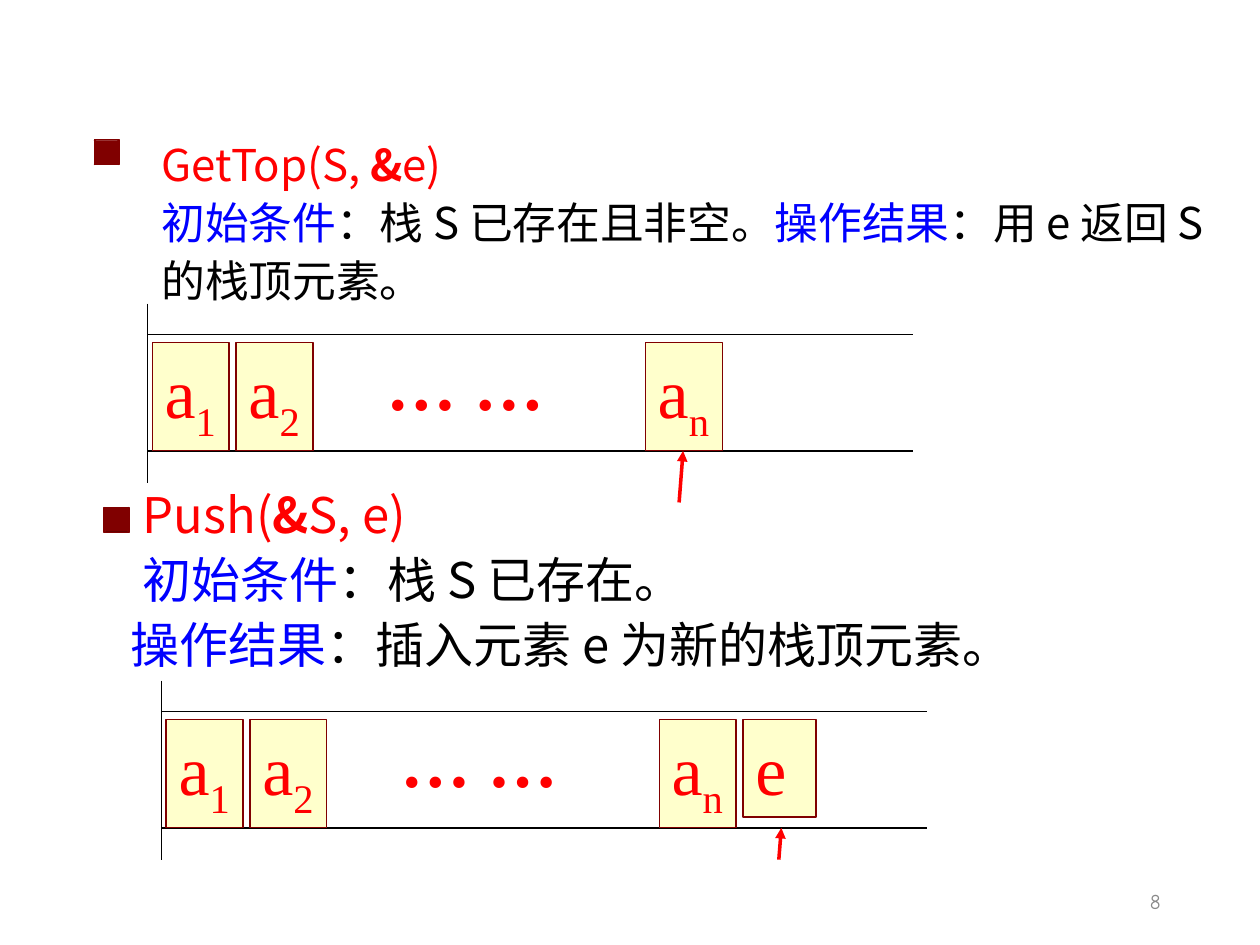
from lxml import etree
from pptx import Presentation
from pptx.dml.color import RGBColor
from pptx.enum.shapes import MSO_CONNECTOR, MSO_SHAPE
from pptx.enum.text import MSO_ANCHOR, MSO_AUTO_SIZE, PP_ALIGN
from pptx.oxml.ns import qn
from pptx.util import Cm, Pt

STRAIGHT = MSO_CONNECTOR.STRAIGHT
RECTANGLE, BEVEL = MSO_SHAPE.RECTANGLE, MSO_SHAPE.BEVEL
TOP, MIDDLE, BOTTOM = MSO_ANCHOR.TOP, MSO_ANCHOR.MIDDLE, MSO_ANCHOR.BOTTOM
FIXED, GROW = MSO_AUTO_SIZE.NONE, MSO_AUTO_SIZE.SHAPE_TO_FIT_TEXT
LEFT, RIGHT = PP_ALIGN.LEFT, PP_ALIGN.RIGHT

COLORS = {
    "red": "FF0000", "blue": "0000FF", "black": "000000",
    "maroon": "800000", "cream": "FFFFCC", "gray": "898989",
}
CJK, SERIF, COMIC = "Noto Sans CJK SC", "Times New Roman", "Comic Neue"


def rgb(name):
    """Return the named colour."""
    return RGBColor.from_string(COLORS[name])


def add_run(paragraph, text, font, size, color="red", bold=False, baseline=None):
    """Append a formatted run to a paragraph."""
    run = paragraph.add_run()
    run.text = text
    run.font.name, run.font.size, run.font.bold = font, Pt(size), bold
    run.font.color.rgb = rgb(color)
    properties = run.font._element
    etree.SubElement(properties, qn("a:ea")).set("typeface", font)
    if baseline:
        properties.set("baseline", str(baseline))


def set_frame(shape, anchor, wrap=True, fit=FIXED):
    """Set the layout of a shape's text and return its frame."""
    frame = shape.text_frame
    frame.word_wrap, frame.auto_size, frame.vertical_anchor = wrap, fit, anchor
    return frame


def add_lines(frame, lines, size, indents):
    """Write left-aligned lines of (text, colour, bold) runs."""
    for index, (line, indent) in enumerate(zip(lines, indents)):
        paragraph = frame.add_paragraph() if index else frame.paragraphs[0]
        paragraph.alignment, paragraph.line_spacing = LEFT, 1.1
        paragraph._p.get_or_add_pPr().set("marL", str(Cm(indent)))
        for text, color, bold in line:
            add_run(paragraph, text, CJK, size, color=color, bold=bold)


def add_line(slide, start, end, color="black", width=0.75, arrow=False):
    """Draw a straight line between two points in centimetres."""
    line = slide.shapes.add_connector(STRAIGHT, *map(Cm, start + end))
    line.line.color.rgb, line.line.width = rgb(color), Pt(width)
    if arrow:
        etree.SubElement(line.line._get_or_add_ln(), qn("a:tailEnd")).set("type", "triangle")
    etree.SubElement(line._element.spPr, qn("a:effectLst"))


def add_box(slide, kind, left, top, width, height, fill):
    """Add a maroon-edged shape without shadow."""
    shape = slide.shapes.add_shape(kind, *map(Cm, (left, top, width, height)))
    shape.shadow.inherit = False
    shape.fill.solid()
    shape.fill.fore_color.rgb = rgb(fill)
    shape.line.color.rgb, shape.line.width = rgb("maroon"), Pt(0.75)
    return shape


def add_marker(slide, left, top):
    """Add the square bullet of an operation."""
    marker = add_box(slide, BEVEL, left, top, 0.5, 0.5, "maroon")
    marker.adjustments[0] = 0.06


def add_text_box(slide, left, top, width, height, **layout):
    """Add a text box and return its frame."""
    box = slide.shapes.add_textbox(*map(Cm, (left, top, width, height)))
    return set_frame(box, **layout)


def add_cell(slide, left, top, letter, subscript, width=1.55, height=2.18):
    """Add one stack element."""
    cell = add_box(slide, RECTANGLE, left, top, width, height, "cream")
    paragraph = set_frame(cell, TOP, wrap=False, fit=GROW).paragraphs[0]
    paragraph.alignment = LEFT
    add_run(paragraph, letter, SERIF, 40)
    if subscript:
        add_run(paragraph, subscript, SERIF, 40, baseline=-25000)


def add_stack(slide, left, top, arrow_tip, arrow_tail, pushed=None):
    """Draw a stack lying on its side, with an arrow at its top element."""
    upper, lower = top + 0.63, top + 2.97
    add_line(slide, (left, top), (left, top + 3.61))
    for rail in (upper, lower):
        add_line(slide, (left, rail), (left + 15.44, rail))
    first, last, step = left + 0.1, left + 10.04, 1.69
    for x, subscript in ((first, "1"), (first + step, "2"), (last, "n")):
        add_cell(slide, x, top + 0.79, "a", subscript)
    if pushed:
        add_cell(slide, last + step, top + 0.79, pushed, None, width=1.47, height=1.96)
    tail_x, tail_y = arrow_tail
    add_line(slide, (left + tail_x, top + tail_y), (left + arrow_tip, lower),
             color="red", width=2, arrow=True)
    dots = add_text_box(slide, left + 4.57, upper, 3.68, 1.96, anchor=TOP, wrap=False, fit=GROW)
    add_run(dots.paragraphs[0], "… …", SERIF, 40, bold=True)


def add_get_top(slide, left, top):
    """Place the GetTop operation in the title placeholder."""
    title = slide.shapes.title
    title.left, title.top, title.width, title.height = map(Cm, (left, top, 22.4, 3.4))
    lines = [
        [("GetTop(S, ", "red", False), ("&", "red", True), ("e)", "red", False)],
        [("初始条件", "blue", False), ("：栈 S 已存在且非空。", "black", False),
         ("操作结果", "blue", False), ("：用 e 返回 S 的栈顶元素。", "black", False)],
    ]
    add_lines(set_frame(title, MIDDLE), lines, 25, (0, 0))
    add_marker(slide, left - 1.1, top + 0.1)
    add_stack(slide, left - 0.03, top + 3.4, 10.8, (10.72, 4.01))


def add_push(slide, left, top):
    """Place the Push operation with its marker and stack."""
    lines = [
        [("Push(", "red", False), ("&", "red", True), ("S, e)", "red", False)],
        [("初始条件", "blue", False), ("：栈 S 已存在。", "black", False)],
        [("操作结果", "blue", False), ("：插入元素 e 为新的栈顶元素。", "black", False)],
    ]
    frame = add_text_box(slide, left, top, 21.59, 4.19, anchor=BOTTOM)
    add_lines(frame, lines, 28, (1.13, 1.13, 0.89))
    add_stack(slide, left + 1.75, top + 4.22, 12.5, (12.45, 3.61), pushed="e")
    add_marker(slide, left + 0.6, top + 0.73)


def add_page_number(slide, left, top):
    """Place the page number."""
    paragraph = add_text_box(slide, left, top, 5.72, 1.02, anchor=MIDDLE).paragraphs[0]
    paragraph.alignment = RIGHT
    add_run(paragraph, "8", COMIC, 12, color="gray")


def main():
    """Build and save the slide."""
    presentation = Presentation()
    presentation.slide_width, presentation.slide_height = Cm(25.4), Cm(19.05)
    slide = presentation.slides.add_slide(presentation.slide_layouts[5])
    add_get_top(slide, 3, 2.72)
    add_push(slide, 1.5, 9.5)
    add_page_number(slide, 17.93, 17.65)
    presentation.save("out.pptx")


if __name__ == "__main__":
    main()
